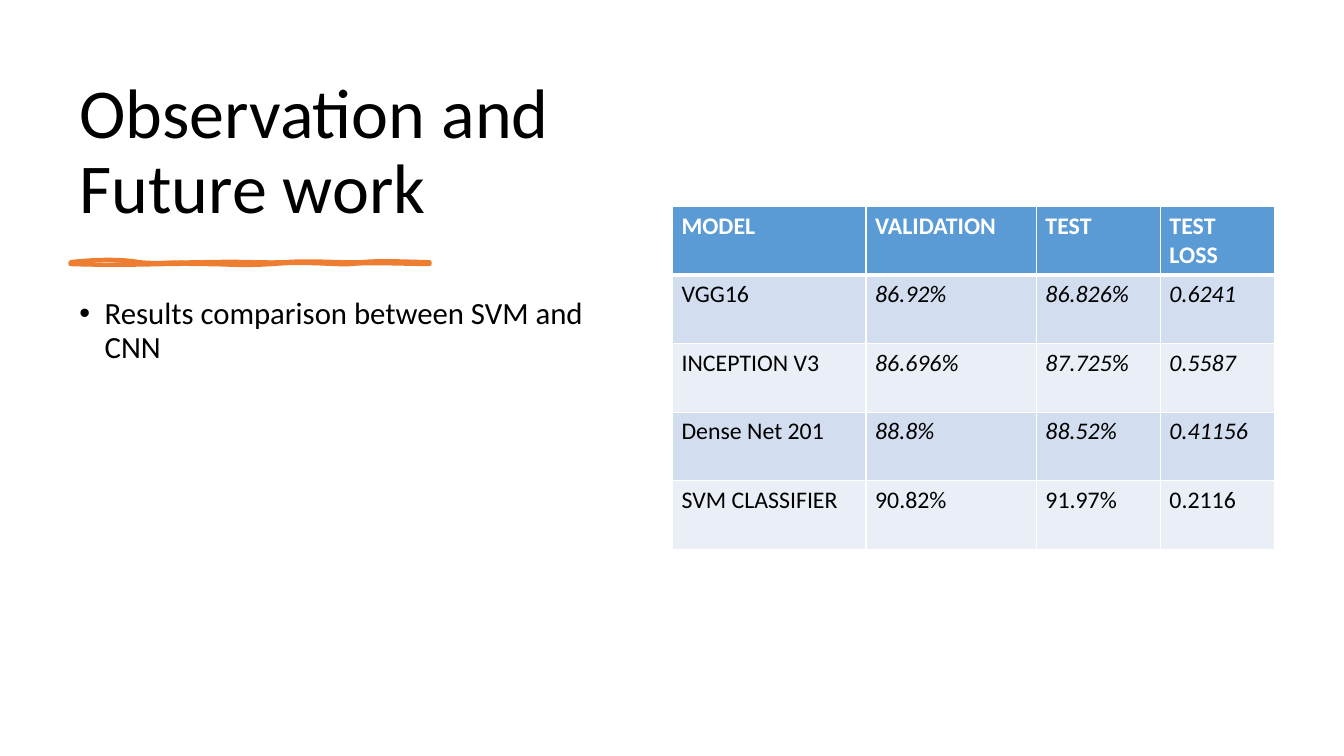
from lxml import etree
from pptx import Presentation
from pptx.dml.color import RGBColor
from pptx.enum import text
from pptx.oxml import ns
from pptx.util import Inches, Pt

BLACK = RGBColor(0x00, 0x00, 0x00)
WHITE = RGBColor(0xFF, 0xFF, 0xFF)
ORANGE = RGBColor(0xED, 0x7D, 0x31)
BLUE = RGBColor(0x5B, 0x9B, 0xD5)
BANDS = (RGBColor(0xEA, 0xEF, 0xF7), RGBColor(0xD2, 0xDE, 0xEF))

COLUMN_WIDTHS = (1.92, 1.69, 1.23, 1.13)
ROW_HEIGHT = 0.68
RESULTS = (
    ("MODEL", "VALIDATION", "TEST", "TEST LOSS"),
    ("VGG16", "86.92%", "86.826%", "0.6241"),
    ("INCEPTION V3", "86.696%", "87.725%", "0.5587"),
    ("Dense Net 201", "88.8%", "88.52%", "0.41156"),
    ("SVM CLASSIFIER", "90.82%", "91.97%", "0.2116"),
)
FILL_CURVES = (
    (0.7, 2.6), (1.02, 2.62), (1.1, 2.6), (1.38, 2.6),
    (1.66, 2.59), (1.69, 2.57), (1.99, 2.6),
    (2.28, 2.62), (2.61, 2.61), (2.77, 2.6),
    (2.93, 2.58), (3.27, 2.62), (3.44, 2.6),
    (3.62, 2.57), (3.97, 2.63), (4.26, 2.6),
    (4.26, 2.6), (4.26, 2.61), (4.26, 2.62),
    (4.12, 2.61), (3.72, 2.64), (3.55, 2.62),
    (3.38, 2.59), (3.09, 2.62), (2.77, 2.62),
    (2.44, 2.61), (2.4, 2.6), (2.16, 2.62),
    (1.93, 2.63), (1.79, 2.61), (1.45, 2.62),
    (1.11, 2.62), (0.92, 2.61), (0.7, 2.62),
    (0.7, 2.61), (0.7, 2.6), (0.7, 2.6),
)
LINE_CURVES = (
    (0.7, 2.6), (0.97, 2.57), (1.21, 2.57), (1.38, 2.6),
    (1.55, 2.62), (1.77, 2.6), (2.09, 2.6),
    (2.41, 2.59), (2.6, 2.61), (2.84, 2.6),
    (3.08, 2.58), (3.39, 2.61), (3.59, 2.6),
    (3.79, 2.58), (4.12, 2.6), (4.26, 2.6),
    (4.26, 2.6), (4.26, 2.61), (4.26, 2.62),
    (4.08, 2.62), (3.64, 2.6), (3.48, 2.62),
    (3.32, 2.63), (3.04, 2.59), (2.7, 2.62),
    (2.35, 2.64), (2.31, 2.62), (1.99, 2.62),
    (1.66, 2.61), (1.32, 2.64), (0.7, 2.62),
    (0.7, 2.61), (0.7, 2.6), (0.7, 2.6),
)


def write(para, content, size, color=BLACK, **styles):
    """Add a formatted run to a paragraph."""
    span = para.add_run()
    span.text = content
    span.font.color.rgb = color
    formats = {"name": "Calibri", "size": Pt(size), **styles}
    for name, value in formats.items():
        setattr(span.font, name, value)


def add_text(page, place, content, size, anchor, bullet=False):
    """Add a wrapped text box with one paragraph."""
    box = page.shapes.add_textbox(*map(Inches, place))
    frame = box.text_frame
    frame.word_wrap = True
    frame.vertical_anchor = anchor
    para = frame.paragraphs[0]
    if bullet:
        properties = para._p.get_or_add_pPr()
        properties.set("marL", str(Inches(0.25)))
        properties.set("indent", str(-Inches(0.25)))
        etree.SubElement(properties, ns.qn("a:buFont"), typeface="Arial")
        etree.SubElement(properties, ns.qn("a:buChar"), char="•")
    para.line_spacing = 0.9
    write(para, content, size)


def add_curves(outlines, shape, points, **options):
    """Append one closed chain of cubic curves to a shape's outlines."""
    outline = etree.SubElement(outlines, ns.qn("a:path"), w=str(shape.width),
                               h=str(shape.height), **options)
    for first in range(-2, len(points), 3):
        tag = "a:moveTo" if first < 0 else "a:cubicBezTo"
        command = etree.SubElement(outline, ns.qn(tag))
        for x, y in points[max(first, 0):first + 3]:
            etree.SubElement(command, ns.qn("a:pt"), x=str(Inches(x) - shape.left),
                             y=str(Inches(y) - shape.top))
    etree.SubElement(outline, ns.qn("a:close"))


def add_underline(page):
    """Draw the hand-drawn stroke below the title."""
    start, *anchors = [tuple(map(Inches, point)) for point in LINE_CURVES[::3]]
    builder = page.shapes.build_freeform(*start)
    builder.add_line_segments(anchors)
    shape = builder.convert_to_shape()
    outlines = shape._element.spPr.find(".//" + ns.qn("a:pathLst"))
    outlines.remove(outlines[0])
    add_curves(outlines, shape, LINE_CURVES, fill="none")
    add_curves(outlines, shape, FILL_CURVES, stroke="0")
    shape.shadow.inherit = False
    shape.fill.solid()
    shape.fill.fore_color.rgb = ORANGE
    shape.line.color.rgb = ORANGE
    shape.line.width = Pt(3)


def add_borders(cell, widths):
    """Give a cell white borders of the given widths by side."""
    properties = cell._tc.get_or_add_tcPr()
    for side, width in widths.items():
        line = etree.SubElement(properties, ns.qn(f"a:ln{side}"), w=str(Pt(width)))
        fill = etree.SubElement(line, ns.qn("a:solidFill"))
        etree.SubElement(fill, ns.qn("a:srgbClr"), val=str(WHITE))


def add_results(page):
    """Add the table of model results."""
    size = (sum(COLUMN_WIDTHS), ROW_HEIGHT * len(RESULTS))
    frame = page.shapes.add_table(len(RESULTS), len(COLUMN_WIDTHS),
                                  *map(Inches, (6.67, 2.05, *size)))
    table = frame.table
    for column, width in zip(table.columns, COLUMN_WIDTHS):
        column.width = Inches(width)
    for i, values in enumerate(RESULTS):
        table.rows[i].height = Inches(ROW_HEIGHT)
        header = i == 0
        for j, value in enumerate(values):
            cell = table.cell(i, j)
            cell.margin_left = cell.margin_right = Inches(0.09)
            add_borders(cell, {"L": 1, "R": 1, "T": 3 if i == 1 else 1,
                               "B": 3 if header else 1})
            cell.fill.solid()
            cell.fill.fore_color.rgb = BLUE if header else BANDS[i % 2]
            write(cell.text_frame.paragraphs[0], value, 17,
                  WHITE if header else BLACK, bold=header,
                  italic=j > 0 and 0 < i < len(RESULTS) - 1)


def main():
    """Build and save the slide."""
    deck = Presentation()
    deck.slide_width, deck.slide_height = Inches(13.33), Inches(7.5)
    page = deck.slides.add_slide(deck.slide_layouts[6])
    add_text(page, (0.69, 0.7, 5.27, 1.62), "Observation and Future work",
             50, text.MSO_ANCHOR.BOTTOM)
    add_underline(page)
    add_text(page, (0.69, 2.91, 5.27, 3.88), "Results comparison between SVM and CNN",
             22, text.MSO_ANCHOR.TOP, bullet=True)
    add_results(page)
    deck.save("out.pptx")


if __name__ == "__main__":
    main()
